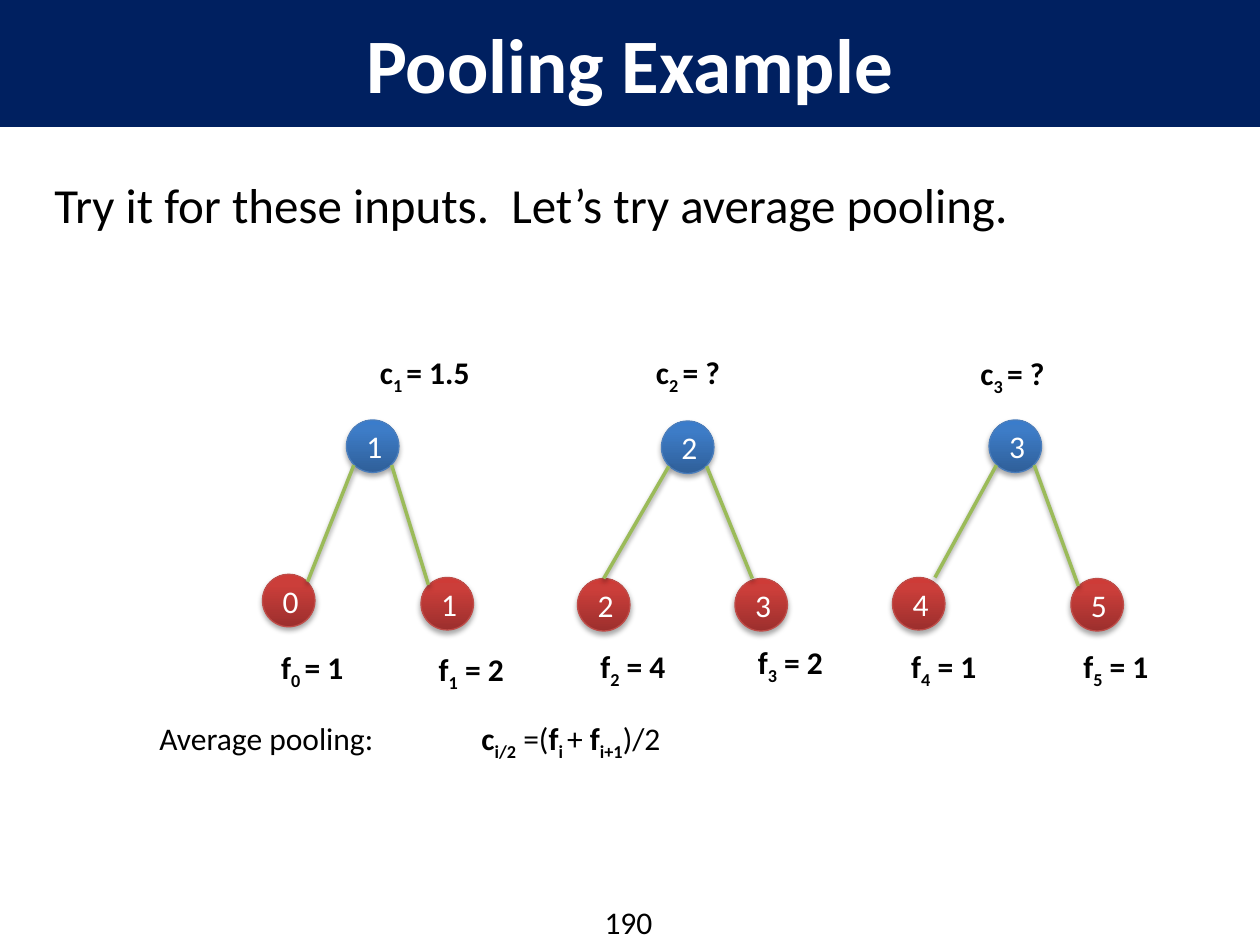
from lxml.etree import SubElement
from pptx import Presentation
from pptx.dml.color import RGBColor
from pptx.enum.shapes import MSO_CONNECTOR, MSO_SHAPE
from pptx.enum.text import MSO_ANCHOR, PP_ALIGN
from pptx.oxml.ns import qn
from pptx.util import Inches, Pt

COLS, ROWS = 120, 90
NODE = 5
BLUE = ("2F5F99", "3D7CC7", "3A7CCB", "4B7EBC")
RED = ("9C2F2D", "CB3E3A", "CE3B37", "BF4C48")


def rgb(color):
    """Turn a hex string into a colour."""
    return RGBColor.from_string(color)


class Deck:
    """Holds the style and the current slide; lengths are grid columns and rows."""

    font, ink, light, navy, green = "Calibri", "000000", "FFFFFF", "002060", "9BBB59"

    def __init__(self):
        """Start a 4:3 deck with one blank slide."""
        self.prs = Presentation()
        self.prs.slide_width, self.prs.slide_height = Inches(10), Inches(7.5)
        self.s = self.prs.slides.add_slide(self.prs.slide_layouts[6])

    def place(self, x, y):
        """Convert a column and row to slide lengths."""
        return (round(self.prs.slide_width * x / COLS),
                round(self.prs.slide_height * y / ROWS))

    def style(self, r, size, color, bold=False):
        """Format one run."""
        r.font.name, r.font.size, r.font.bold = self.font, Pt(size), bold
        r.font.color.rgb = rgb(color)

    def shadow(self, effects, alpha, dist):
        """Add a soft shadow straight below."""
        shade = SubElement(effects, qn("a:outerShdw"), blurRad=str(Pt(3.1)),
                           dist=str(Pt(dist)), dir="5400000", rotWithShape="0")
        clr = SubElement(shade, qn("a:srgbClr"), val=self.ink)
        SubElement(clr, qn("a:alpha"), val=str(alpha * 1000))

    def text(self, x, y, w, h, parts, size=18, wrap=True):
        """Add a text box from (text, kind) parts: n normal, b bold, s bold subscript."""
        tf = self.s.shapes.add_textbox(*self.place(x, y), *self.place(w, h)).text_frame
        tf.word_wrap = wrap
        p = tf.paragraphs[0]
        for words, kind in parts:
            r = p.add_run()
            r.text = words
            self.style(r, size, self.ink, kind != "n")
            if kind == "s":
                r.font._element.set("baseline", "-25000")

    def shape(self, preset, x, y, w, h, label, size, line, bold=False):
        """Add a preset shape with a centred label."""
        sp = self.s.shapes.add_shape(preset, *self.place(x, y), *self.place(w, h))
        sp.line.color.rgb, sp.line.width = rgb(line), Pt(0.75)
        sp.shadow.inherit = False
        tf = sp.text_frame
        tf.text = label
        tf.vertical_anchor = MSO_ANCHOR.MIDDLE
        p = tf.paragraphs[0]
        p.alignment = PP_ALIGN.CENTER
        self.style(p.runs[0], size, self.light, bold)
        return sp

    def banner(self, title):
        """Add the title band."""
        sp = self.shape(MSO_SHAPE.RECTANGLE, 0, 0, COLS, 12, title, 44, self.navy, True)
        sp.fill.solid()
        sp.fill.fore_color.rgb = rgb(self.navy)

    def node(self, x, y, label, palette):
        """Add a shaded, numbered circle."""
        *shades, line = palette
        sp = self.shape(MSO_SHAPE.OVAL, x, y, NODE, NODE, label, 18, line)
        sp.fill.gradient()
        sp.fill.gradient_angle = 90
        grad = sp._element.spPr.find(qn("a:gradFill"))
        stops = grad.find(qn("a:gsLst"))
        for stop in list(stops):
            stops.remove(stop)
        for pos, shade in zip((0, 80, 100), shades):
            stop = SubElement(stops, qn("a:gs"), pos=str(pos * 1000))
            SubElement(stop, qn("a:srgbClr"), val=shade)
        grad.find(qn("a:lin")).set("ang", "16200000")
        self.shadow(sp._element.spPr.find(qn("a:effectLst")), 35, 1.8)

    def edge(self, x1, y1, x2, y2):
        """Add a green line between two nodes."""
        line = self.s.shapes.add_connector(
            MSO_CONNECTOR.STRAIGHT, *self.place(x1, y1), *self.place(x2, y2))
        line.line.color.rgb, line.line.width = rgb(self.green), Pt(2)
        self.shadow(SubElement(line._element.spPr, qn("a:effectLst")), 38, 1.6)

    def tree(self, number, top, caption, children):
        """Add a pooled node, its caption, its two inputs and their edges."""
        x, y = top
        cx, cy, value = caption
        self.text(cx, cy, 11.8, 4.8,
                  [("c", "b"), (f"{number} ", "s"), (f"= {value}", "b")], wrap=False)
        self.node(x, y, str(number), BLUE)
        for side, (kx, ky, fx, fy, value, hook) in enumerate(children):
            index = 2 * (number - 1) + side
            self.node(kx, ky, str(index), RED)
            self.edge(x + NODE * (0.86 if side else 0.14), y + NODE * 0.86,
                      kx + NODE * hook[0], ky + NODE * hook[1])
            gap = ("", " ") if index else (" ", "")
            self.text(fx, fy, 8.9, 4.8, [("f", "b"), (f"{index}{gap[0]}", "s"),
                                         (f"{gap[1]}= {value}", "b")], wrap=False)


def main():
    """Build and save the slide."""
    deck = Deck()
    deck.banner("Pooling Example")
    deck.text(4, 16, 113, 6.8,
              [("Try it for these inputs.  Let’s try average pooling.", "n")], 28)
    trees = [
        ((33, 40), (35, 33, "1.5"),
         [(25, 54.7, 25.6, 61.1, 1, (0.86, 0.14)),
          (40.1, 55, 40.6, 61.3, 2, (0.14, 0.14))]),
        ((63, 40.1), (61.3, 33, "?"),
         [(55, 55.1, 56, 61, 4, (0.5, 0)),
          (70, 55.1, 71, 60.7, 2, (0.33, 0))]),
        ((94.2, 40), (92.2, 33.1, "?"),
         [(85, 55, 85.6, 61, 1, (0.81, 0)),
          (102, 55.1, 102, 61, 1, (0.14, 0.14))]),
    ]
    for number, (top, caption, children) in enumerate(trees, 1):
        deck.tree(number, top, caption, children)
    deck.text(14, 67.9, 95, 4.8, [
        ("Average pooling:\t\t", "n"), (" c", "b"), ("i/2", "s"), (" =(", "n"),
        ("f", "b"), ("i ", "s"), ("+ ", "n"), ("f", "b"), ("i+1", "s"), (")/2", "n")])
    deck.text(56.4, 85.4, 8.6, 4.8, [("190", "n")])
    deck.prs.save("out.pptx")


if __name__ == "__main__":
    main()
